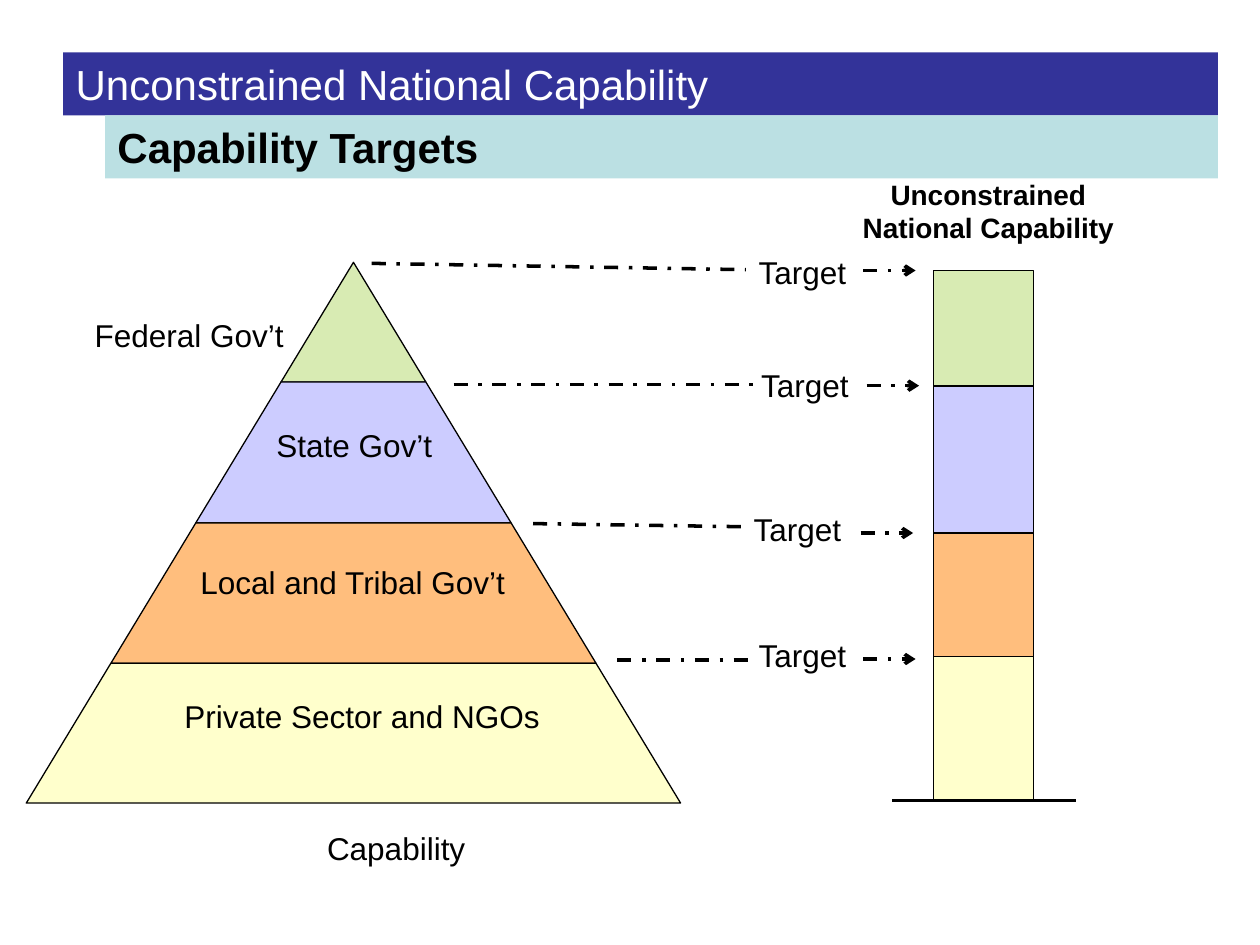
from lxml import etree
from pptx import Presentation
from pptx.dml.color import RGBColor
from pptx.enum import dml, shapes, text
from pptx.oxml.ns import qn
from pptx.util import Pt

THEME = {
    "font": "Arial", "black": "000000", "white": "FFFFFF",
    "title_fill": "333399", "subtitle_fill": "BBE0E3",
    "heading": 24, "label": 18, "bar_title": 16,
    "outline": 0.75, "rule": 2,
}

# Content, top tier first. Boxes are (left, top, width); leaders and arrows
# run from (x, y) to (x, y). All lengths are in points.
# The top tier is narrower than its name, so that name stands to its left.
TITLE = "Unconstrained National Capability"
SUBTITLE = "Capability Targets"
BAR_TITLE = ["Unconstrained", "National Capability"]
CAPTION = ("Capability", (179.6, 470, 93.6))
TIERS = [
    {"name": "Federal Gov’t", "fill": "D8EBB3", "label": (47, 177.1, 122.4),
     "leader": (212.4, 150.5, 426.2, 154.1), "target": (426.2, 141.1),
     "arrow": (493.2, 154.6)},
    {"name": "State Gov’t", "fill": "CCCCFF", "label": (151, 239.8, 103),
     "leader": (259.2, 219.8, 430.6, 219.8), "target": (427.7, 205.4),
     "arrow": (495.2, 220.4)},
    {"name": "Local and Tribal Gov’t", "fill": "FFBE7D", "label": (106.9, 318.2, 189.4),
     "leader": (304.6, 299.2, 424.8, 301), "target": (423.4, 288),
     "arrow": (491.8, 304.6)},
    {"name": "Private Sector and NGOs", "fill": "FFFFCC", "label": (98.2, 394.6, 217.4),
     "leader": (352.8, 377.2, 429.1, 377.2), "target": (426.2, 360),
     "arrow": (493.2, 376.6)},
]

# Layout rules
APEX_X, SLOPE = 202, 0.605
PYRAMID_EDGES = [149.9, 218.3, 298.8, 379, 458.9]
BAR_LEFT, BAR_WIDTH = 533.5, 56.9
BAR_EDGES = [154.6, 220.6, 304.6, 375.1, 457.6]
LABEL_HEIGHT, TARGET_WIDTH, ARROW_LENGTH = 28.8, 64.6, 30


def rgb(name):
    return RGBColor.from_string(THEME.get(name, name))


def write(shape, lines, size, color="black", bold=False, align="LEFT", wrap=True):
    frame = shape.text_frame
    frame.text = "\n".join(lines)
    frame.word_wrap = wrap
    frame.auto_size = text.MSO_AUTO_SIZE.NONE
    frame.vertical_anchor = text.MSO_ANCHOR.MIDDLE
    frame.margin_left = frame.margin_right = Pt(7.2)
    frame.margin_top = frame.margin_bottom = Pt(3.6)
    for paragraph in frame.paragraphs:
        paragraph.alignment = getattr(text.PP_ALIGN, align)
        for run in paragraph.runs:
            run.font.name = THEME["font"]
            run.font.size = Pt(THEME[size])
            run.font.bold = bold
            run.font.color.rgb = rgb(color)


def paint(shape, fill, outlined=True):
    shape.shadow.inherit = False
    shape.fill.solid()
    shape.fill.fore_color.rgb = rgb(fill)
    if outlined:
        shape.line.color.rgb = rgb("black")
        shape.line.width = Pt(THEME["outline"])
    else:
        shape.line.fill.background()


def add_rect(slide, box, fill, outlined=True):
    rect = slide.shapes.add_shape(shapes.MSO_SHAPE.RECTANGLE, *map(Pt, box))
    paint(rect, fill, outlined)
    return rect


def add_label(slide, words, box):
    label = slide.shapes.add_textbox(*map(Pt, (*box, LABEL_HEIGHT)))
    write(label, [words], "label", align="CENTER", wrap=False)


def add_line(slide, ends, dashed=True, arrow=False):
    line = slide.shapes.add_connector(shapes.MSO_CONNECTOR.STRAIGHT, *map(Pt, ends))
    line.line.color.rgb = rgb("black")
    line.line.width = Pt(THEME["rule"])
    if dashed:
        line.line.dash_style = dml.MSO_LINE.DASH_DOT
    if arrow:
        etree.SubElement(line.line._get_or_add_ln(), qn("a:tailEnd"), type="arrow")
    etree.SubElement(line._element.spPr, qn("a:effectLst"))


def add_pyramid_tier(slide, top, bottom, fill):
    upper, lower = [(y - PYRAMID_EDGES[0]) * SLOPE for y in (top, bottom)]
    corners = [(APEX_X + upper, top), (APEX_X + lower, bottom), (APEX_X - lower, bottom)]
    outline = slide.shapes.build_freeform(Pt(APEX_X - upper), Pt(top))
    outline.add_line_segments([(Pt(x), Pt(y)) for x, y in corners], close=True)
    paint(outline.convert_to_shape(), fill)


def main():
    deck = Presentation()
    deck.slide_width, deck.slide_height = Pt(720), Pt(540)
    slide = deck.slides.add_slide(deck.slide_layouts[5])

    # Title and subtitle bands
    title = slide.shapes.title
    title.left, title.top, title.width, title.height = map(Pt, (36, 30, 660, 36))
    title.fill.solid()
    title.fill.fore_color.rgb = rgb("title_fill")
    write(title, [TITLE], "heading", "white")
    subtitle = add_rect(slide, (60, 66, 636, 36), "subtitle_fill", outlined=False)
    write(subtitle, [SUBTITLE], "heading", bold=True)

    # Pyramid and stacked bar
    for i, tier in enumerate(TIERS):
        add_pyramid_tier(slide, *PYRAMID_EDGES[i:i + 2], tier["fill"])
        top, bottom = BAR_EDGES[i:i + 2]
        add_rect(slide, (BAR_LEFT, top, BAR_WIDTH, bottom - top), tier["fill"])
    add_line(slide, (510, 457.4, 615, 457.4), dashed=False)

    # Tier names, leaders, targets and arrows
    for tier in TIERS:
        add_label(slide, tier["name"], tier["label"])
        add_line(slide, tier["leader"])
        add_label(slide, "Target", (*tier["target"], TARGET_WIDTH))
        x, y = tier["arrow"]
        add_line(slide, (x, y, x + ARROW_LENGTH, y), arrow=True)

    # Captions
    add_label(slide, *CAPTION)
    bar_title = slide.shapes.add_textbox(*map(Pt, (478.4, 97.5, 172.8, 46)))
    write(bar_title, BAR_TITLE, "bar_title", bold=True, align="CENTER")

    deck.save("out.pptx")


if __name__ == "__main__":
    main()
